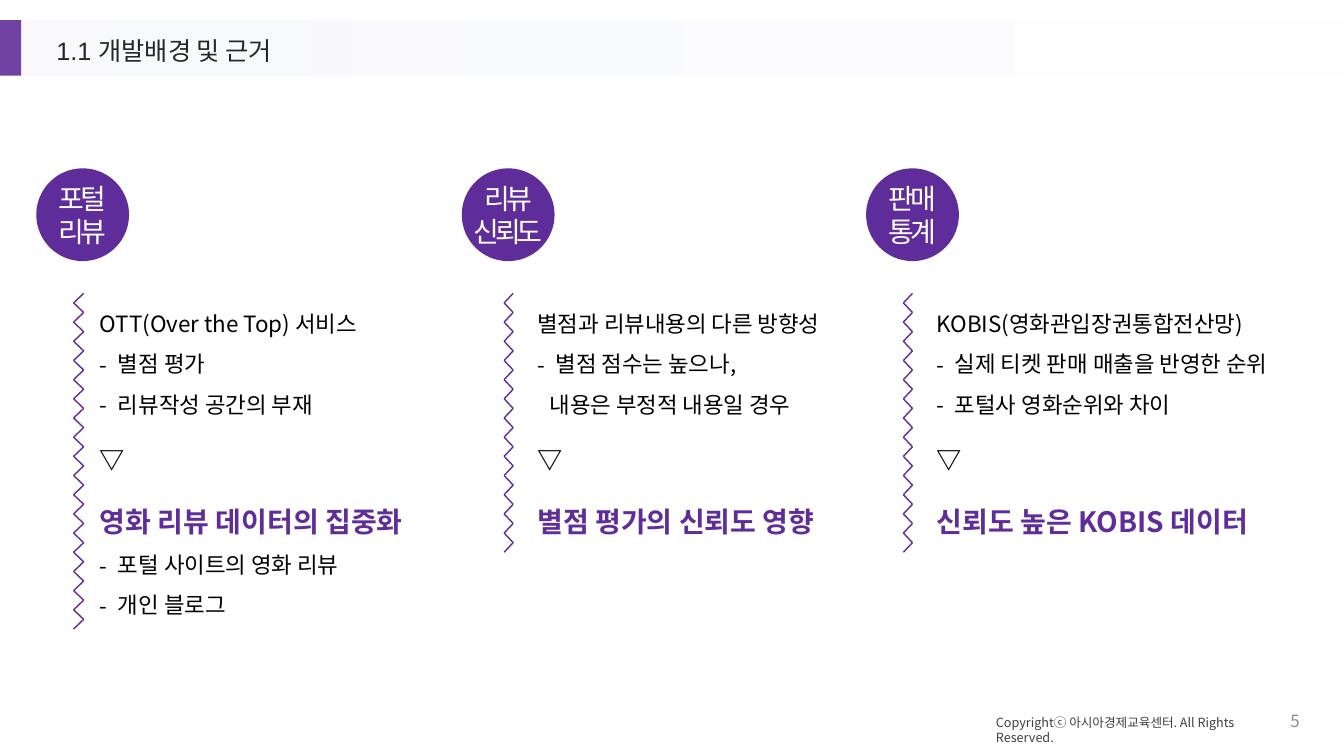
from lxml import etree
from pptx import Presentation
from pptx.dml.color import RGBColor
from pptx.enum.shapes import MSO_CONNECTOR, MSO_SHAPE
from pptx.enum.text import MSO_ANCHOR, MSO_AUTO_SIZE, PP_ALIGN
from pptx.oxml.ns import qn
from pptx.util import Pt

STRAIGHT = MSO_CONNECTOR.STRAIGHT
RECTANGLE, OVAL = MSO_SHAPE.RECTANGLE, MSO_SHAPE.OVAL
TOP, MIDDLE = MSO_ANCHOR.TOP, MSO_ANCHOR.MIDDLE
LEFT, CENTER, RIGHT = PP_ALIGN.LEFT, PP_ALIGN.CENTER, PP_ALIGN.RIGHT

HEADING = "1.1 개발배경 및 근거"
COPYRIGHT = "Copyrightⓒ 아시아경제교육센터. All Rights Reserved."
PAGE = "5"
TOPICS = [
    {
        "badge": ["포털", "리뷰"], "badge_x": 36, "zigzag_x": (83, 73), "teeth": 35,
        "box": (89, 275, 333, 389),
        "lines": [
            ("plain", "OTT(Over the Top) 서비스"),
            ("dash", "별점 평가"),
            ("dash", "리뷰작성 공간의 부재"),
            ("arrow", "▽"),
            ("result", "영화 리뷰 데이터의 집중화"),
            ("dash", "포털 사이트의 영화 리뷰"),
            ("dash", "개인 블로그"),
        ],
    },
    {
        "badge": ["리뷰", "신뢰도"], "badge_x": 458, "zigzag_x": (509, 500), "teeth": 27,
        "box": (523, 275, 319, 306),
        "lines": [
            ("plain", "별점과 리뷰내용의 다른 방향성"),
            ("dash", "별점 점수는 높으나,"),
            ("continued", "내용은 부정적 내용일 경우"),
            ("arrow", "▽"),
            ("result", "별점 평가의 신뢰도 영향"),
        ],
    },
    {
        "badge": ["판매", "통계"], "badge_x": 859, "zigzag_x": (905, 896), "teeth": 27,
        "box": (919, 275, 357, 308),
        "lines": [
            ("plain", "KOBIS(영화관입장권통합전산망)"),
            ("dash", "실제 티켓 판매 매출을 반영한 순위"),
            ("dash", "포털사 영화순위와 차이"),
            ("arrow", "▽"),
            ("result", "신뢰도 높은 KOBIS 데이터"),
        ],
    },
]

COLORS = {
    "purple": "5F2D9A", "tab": "6F41A2", "band": "F6F7FB", "white": "FFFFFF",
    "black": "000000", "heading": "262626", "page": "8C8C8C", "copyright": "404040",
}
KOREAN, LATIN = "Noto Sans CJK KR", "Arial"
LINE_STYLES = {
    "plain": {"size": 16, "pitch": 28.6, "before": 0, "indent": 0, "color": "black", "bold": False},
    "arrow": {"size": 18, "pitch": 32, "before": 9, "indent": 0, "color": "black", "bold": True},
    "result": {"size": 20, "pitch": 36, "before": 9, "indent": 0, "color": "purple", "bold": True},
}
LINE_STYLES["dash"] = {**LINE_STYLES["plain"], "indent": 18}
LINE_STYLES["continued"] = {**LINE_STYLES["plain"], "indent": 12}
BADGE_TOP, BADGE_SIZE = 167, 92
ZIGZAG_TOP, TEETH_PER_333_PX = 291, 35
SCALE = 9144


def px(*lengths):
    return [round(length * SCALE) for length in lengths]


def rgb(color):
    return RGBColor.from_string(COLORS[color])


def place(shape, box):
    shape.left, shape.top, shape.width, shape.height = px(*box)


def add_run(paragraph, text, size, color, bold=False, font=KOREAN):
    run = paragraph.add_run()
    run.text = text
    run.font.size = Pt(size)
    run.font.bold = bold
    run.font.color.rgb = rgb(color)
    run.font.name = font
    properties = run.font._element
    etree.SubElement(properties, qn("a:ea"), typeface=KOREAN)
    return properties


def set_frame(frame, insets, anchor, wrap=True):
    frame.auto_size = MSO_AUTO_SIZE.NONE
    frame.word_wrap = wrap
    frame.vertical_anchor = anchor
    frame.margin_left, frame.margin_top, frame.margin_right, frame.margin_bottom = px(*insets)


def add_block(slide, kind, box, color):
    block = slide.shapes.add_shape(kind, *px(*box))
    block.shadow.inherit = False
    block.line.fill.background()
    block.fill.solid()
    block.fill.fore_color.rgb = rgb(color)
    return block


def add_label(slide, box, text, size, color, align, anchor):
    label = slide.shapes.add_textbox(*px(*box)).text_frame
    set_frame(label, (10, 5, 10, 5), anchor)
    label.paragraphs[0].alignment = align
    add_run(label.paragraphs[0], text, size, color)
    return label


def add_header(slide):
    band = add_block(slide, RECTANGLE, (21, 20, 1312, 55), "band")
    band.fill.gradient()
    band.fill.gradient_angle = 0
    for stop, color in zip(band.fill.gradient_stops, ("band", "white")):
        stop.color.rgb = rgb(color)
    tint = band._element.spPr.find(".//" + qn("a:srgbClr"))
    etree.SubElement(tint, qn("a:alpha"), val="58000")
    add_block(slide, RECTANGLE, (0, 20, 21, 55), "tab")

    title = slide.shapes.title
    place(title, (46, 33, 303, 39))
    set_frame(title.text_frame, (10, 5, 10, 5), TOP)
    heading = title.text_frame.paragraphs[0]
    heading.alignment = LEFT
    heading.line_spacing = 0.9
    add_run(heading, HEADING, 18, "heading", font=LATIN)


def add_badge(slide, topic):
    box = (topic["badge_x"], BADGE_TOP, BADGE_SIZE, BADGE_SIZE)
    frame = add_block(slide, OVAL, box, "purple").text_frame
    set_frame(frame, (0, 0, 0, 0), MIDDLE, wrap=False)
    for index, word in enumerate(topic["badge"]):
        paragraph = frame.add_paragraph() if index else frame.paragraphs[0]
        paragraph.alignment = CENTER
        paragraph.line_spacing = Pt(23.6)
        add_run(paragraph, word, 20, "white").set("spc", "-300")


def add_zigzag(slide, topic):
    zigzag = slide.shapes.add_group_shape()
    right, left = topic["zigzag_x"]
    for tooth in range(topic["teeth"]):
        ends = (tooth + tooth % 2, tooth + 1 - tooth % 2)
        start, end = (ZIGZAG_TOP + 333 * step / TEETH_PER_333_PX for step in ends)
        stroke = zigzag.shapes.add_connector(STRAIGHT, *px(right, start, left, end))
        stroke.line.color.rgb = rgb("purple")
        stroke.line.width = Pt(1)
        etree.SubElement(stroke._element.spPr, qn("a:effectLst"))


def add_points(body, topic):
    place(body, topic["box"])
    set_frame(body.text_frame, (10, 20, 0, 5), TOP)
    for index, (kind, text) in enumerate(topic["lines"]):
        style = LINE_STYLES[kind]
        paragraph = body.text_frame.add_paragraph() if index else body.text_frame.paragraphs[0]
        properties = paragraph._p.get_or_add_pPr()
        indent = px(style["indent"])[0]
        properties.set("marL", str(indent))
        properties.set("indent", str(-indent if kind == "dash" else 0))
        if kind == "dash":
            etree.SubElement(properties, qn("a:buFont"), typeface=KOREAN)
            etree.SubElement(properties, qn("a:buChar"), char="-")
        else:
            etree.SubElement(properties, qn("a:buNone"))
        paragraph.alignment = LEFT
        paragraph.line_spacing = Pt(style["pitch"])
        paragraph.space_before = Pt(style["before"])
        add_run(paragraph, text, style["size"], style["color"], style["bold"])


def main():
    deck = Presentation()
    deck.slide_width, deck.slide_height = px(1333, 750)
    slide = deck.slides.add_slide(deck.slide_layouts.get_by_name("Comparison"))
    add_header(slide)
    title, *bodies = list(slide.placeholders)
    for body, topic in zip(bodies, TOPICS):
        add_badge(slide, topic)
        add_zigzag(slide, topic)
        add_points(body, topic)
    for unused in bodies[len(TOPICS):]:
        unused._element.getparent().remove(unused._element)
    slide.shapes._spTree.append(title._element)

    add_label(slide, (1237, 695, 62, 40), PAGE, 12, "page", RIGHT, MIDDLE)
    notice = add_label(slide, (978, 704, 306, 25), COPYRIGHT, 9, "copyright", LEFT, TOP)
    notice.paragraphs[0].line_spacing = Pt(11)
    deck.save("out.pptx")


if __name__ == "__main__":
    main()
